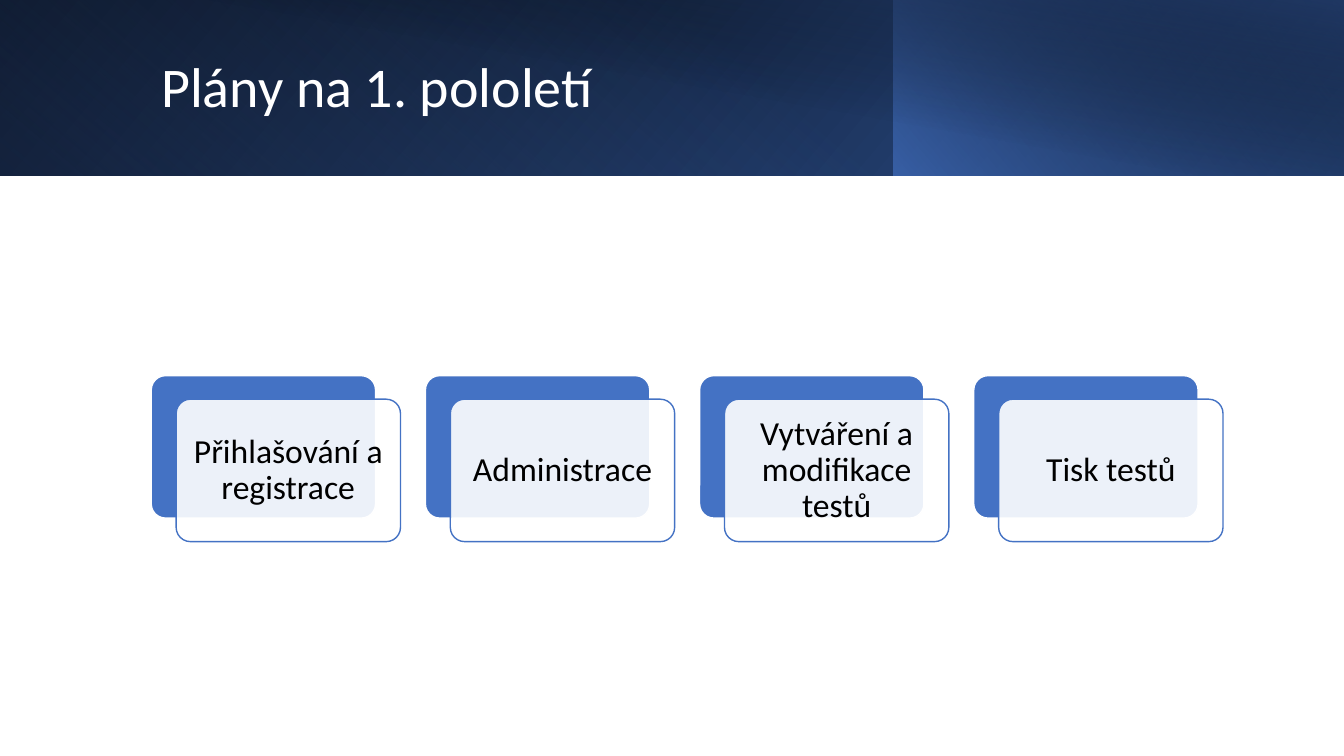
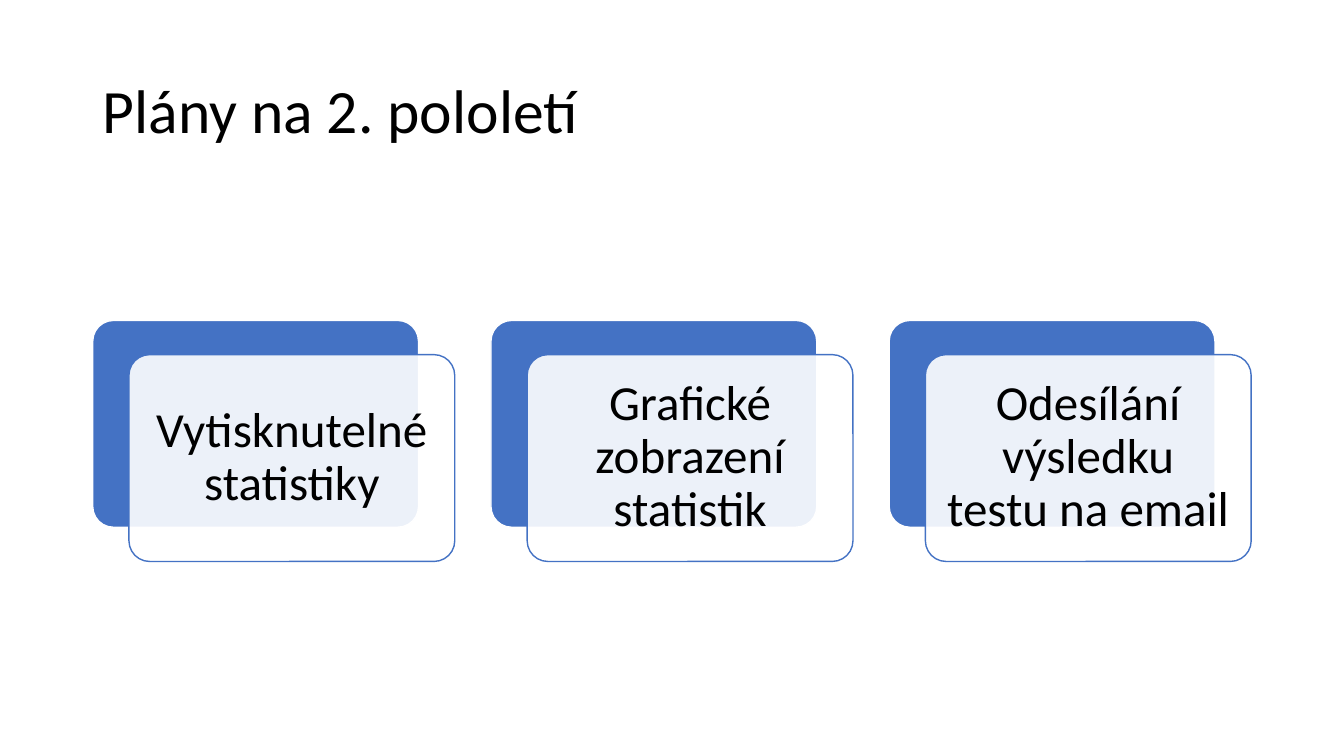
from collections import namedtuple
from dataclasses import dataclass

from lxml import etree
from pptx import Presentation
from pptx import util as u
from pptx.dml.color import RGBColor
from pptx.enum import shapes, text
from pptx.oxml.ns import qn

Box = namedtuple("Box", "x y w h")
Stop = namedtuple("Stop", "position color opacity")


@dataclass(frozen=True)
class Theme:
    """Colours, font and type sizes shared by the slides."""
    font: str = "Calibri"
    white: str = "FFFFFF"
    black: str = "000000"
    accent: str = "4472C4"
    deep: str = "2F5597"
    navy: str = "203864"
    band_title: int = 40
    plain_title: int = 44
    small_card: int = 24
    large_card: int = 35
    line_spacing: float = 0.9


T = Theme()
WIDTH, HEIGHT = 13.33, 7.5
CARD_RATIO = 0.635
CARD_SHIFT_X, CARD_SHIFT_Y = 1 / 9, 0.105
CARD_PITCH = 11 / 9


def inches(box):
    """Return the box as lengths for python-pptx."""
    return [u.Inches(v) for v in box]


def set_opacity(sp, percents):
    """Give the fill colours of a shape their opacity, in order."""
    colors = sp._element.spPr.iter(qn("a:srgbClr"))
    for color, percent in zip(colors, percents):
        etree.SubElement(color, qn("a:alpha")).set("val", str(percent * 1000))


def add_panel(s, kind, box):
    """Add a shape without shadow or line."""
    sp = s.shapes.add_shape(kind, *inches(box))
    sp.shadow.inherit = False
    sp.line.fill.background()
    return sp


def add_gradient(s, box, clockwise, stops):
    """Add a rectangle with a two-colour linear gradient."""
    sp = add_panel(s, shapes.MSO_SHAPE.RECTANGLE, box)
    sp.fill.gradient()
    sp.fill.gradient_angle = 360 - clockwise
    for gs, stop in zip(sp.fill.gradient_stops, stops):
        gs.position = stop.position
        gs.color.rgb = RGBColor.from_string(stop.color)
    set_opacity(sp, [stop.opacity for stop in stops])


def write(tf, words, size, color, align):
    """Write one middle-anchored paragraph."""
    tf.word_wrap = True
    tf.vertical_anchor = text.MSO_ANCHOR.MIDDLE
    p = tf.paragraphs[0]
    p.alignment = align
    p.line_spacing = T.line_spacing
    r = p.add_run()
    r.text = words
    r.font.name = T.font
    r.font.size = u.Pt(size)
    r.font.color.rgb = RGBColor.from_string(color)


def add_title(s, box, words, size, color):
    """Add the slide title."""
    tf = s.shapes.add_textbox(*inches(box)).text_frame
    write(tf, words, size, color, text.PP_ALIGN.LEFT)


def add_band(s, box):
    """Layer the gradients of the header band."""
    x, y, w, h = box
    split = w * 0.665
    add_gradient(s, box, 40, [Stop(0, T.black, 100), Stop(1, T.deep, 100)])
    add_gradient(s, Box(x, y, split, h), 130,
                 [Stop(0.2, T.accent, 0), Stop(1, T.navy, 55)])
    add_gradient(s, Box(x + split, y, w - split, h), 320,
                 [Stop(0, T.accent, 66), Stop(1, T.black, 30)])
    add_gradient(s, Box(x + 0.5, y, w - 0.5, h), 280,
                 [Stop(0.5, T.black, 0), Stop(0.99, T.navy, 52)])


def add_plate(s, box, fill, line):
    """Add one rounded plate of a card."""
    sp = add_panel(s, shapes.MSO_SHAPE.ROUNDED_RECTANGLE, box)
    sp.adjustments[0] = 0.1
    sp.fill.solid()
    sp.fill.fore_color.rgb = RGBColor.from_string(fill)
    sp.line.color.rgb = RGBColor.from_string(line)
    sp.line.width = u.Pt(1)
    return sp


def add_card(s, box, words, size, inset):
    """Add a back plate and a shifted translucent front plate with text."""
    add_plate(s, box, T.accent, T.white)
    front = box._replace(x=box.x + box.w * CARD_SHIFT_X,
                         y=box.y + box.w * CARD_SHIFT_Y)
    sp = add_plate(s, front, T.white, T.accent)
    set_opacity(sp, [90])
    tf = sp.text_frame
    tf.margin_left = tf.margin_right = u.Inches(inset)
    tf.margin_top = tf.margin_bottom = u.Inches(inset)
    write(tf, words, size, T.black, text.PP_ALIGN.CENTER)


def add_cards(s, box, labels, size, inset):
    """Spread cards over the width of the box, centred vertically."""
    w = box.w / ((len(labels) - 1) * CARD_PITCH + 1 + CARD_SHIFT_X)
    h = w * CARD_RATIO
    y = box.y + (box.h - h - w * CARD_SHIFT_Y) / 2
    for i, label in enumerate(labels):
        add_card(s, Box(box.x + i * w * CARD_PITCH, y, w, h), label, size, inset)


def first_term(s, page):
    """Build the slide with the header band and four cards."""
    add_band(s, page._replace(h=1.74))
    add_title(s, Box(1.5, 0.32, 10.82, 1.13), "Plány na 1. pololetí",
              T.band_title, T.white)
    add_cards(s, Box(1.5, 2.55, 10.63, 4),
              ["Přihlašování a registrace", "Administrace",
               "Vytváření a modifikace testů", "Tisk testů"],
              T.small_card, 0.1)


def second_term(s, page):
    """Build the plain slide with three cards."""
    margin = 0.92
    width = page.w - 2 * margin
    add_title(s, Box(margin, 0.4, width, 1.45), "Plány na 2. pololetí",
              T.plain_title, T.black)
    add_cards(s, Box(margin, 2, width, 4.75),
              ["Vytisknutelné statistiky", "Grafické zobrazení statistik",
               "Odesílání výsledku testu na email"],
              T.large_card, 0.15)


def main():
    """Build and save the presentation."""
    prs = Presentation()
    prs.slide_width, prs.slide_height = u.Inches(WIDTH), u.Inches(HEIGHT)
    for build in (first_term, second_term):
        s = prs.slides.add_slide(prs.slide_layouts[6])
        build(s, Box(0, 0, WIDTH, HEIGHT))
    prs.save("out.pptx")


main()
